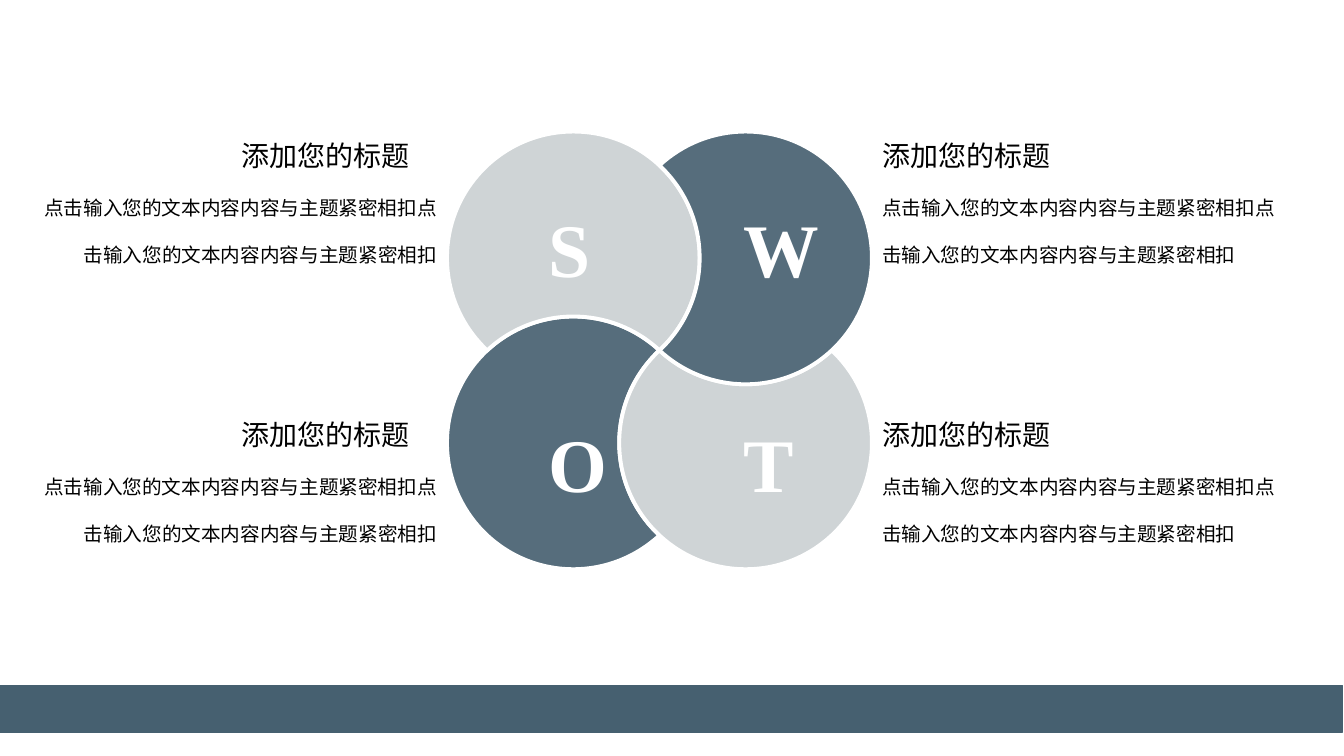
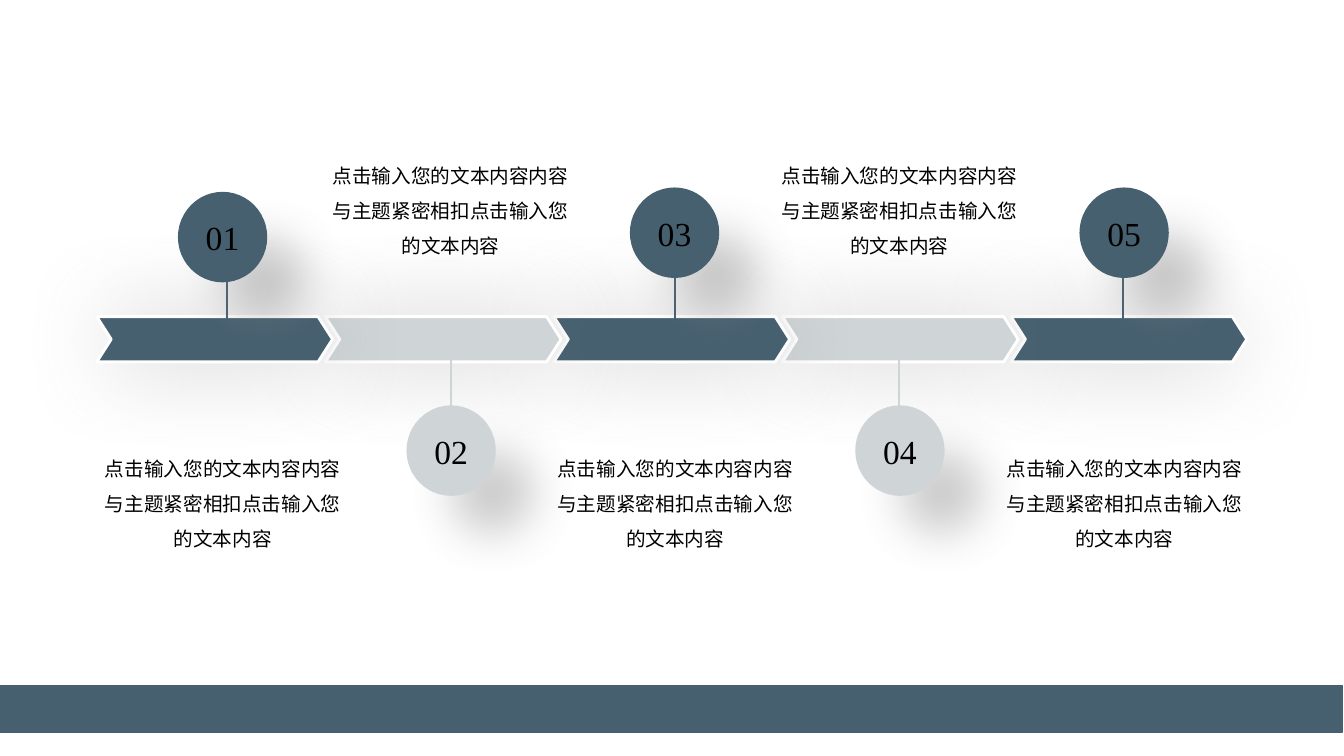
from math import acos, atan2, cos, hypot, pi, sin, tan

from lxml.etree import SubElement
from pptx import Presentation
from pptx.dml.color import RGBColor
from pptx.enum.shapes import MSO_CONNECTOR, MSO_SHAPE
from pptx.enum.text import MSO_ANCHOR, PP_ALIGN
from pptx.oxml.ns import qn
from pptx.util import Cm, Pt

COLORS = {
    "slate": "466070",
    "steel": "566D7C",
    "mist": "CFD4D6",
    "white": "FFFFFF",
    "black": "000000",
    "shade": "808080",
}
FONT = "Times New Roman"


def paint(shape, fill, line, width, blur=0, distance=0, anchor="ctr"):
    shape.fill.solid()
    shape.fill.fore_color.rgb = RGBColor.from_string(COLORS[fill])
    shape.line.color.rgb = RGBColor.from_string(COLORS[line])
    shape.line.width = Pt(width)
    shape.shadow.inherit = False
    if blur:
        effects = shape.element.spPr.find(qn("a:effectLst"))
        shadow = SubElement(effects, qn("a:outerShdw"), blurRad=str(Pt(blur)),
                            dist=str(Pt(distance)), dir=str(45 * 60000),
                            sx="92000", sy="92000", algn=anchor, rotWithShape="0")
        shade = SubElement(shadow, qn("a:srgbClr"), val=COLORS["shade"])
        SubElement(shade, qn("a:alpha"), val="40000")


def write(frame, text, size, align, color="black", bold=False, spacing=None):
    frame.word_wrap = True
    paragraph = frame.paragraphs[0]
    paragraph.text = text
    paragraph.alignment = align
    paragraph.line_spacing = spacing
    paragraph.font.name = FONT
    paragraph.font.size = Pt(size)
    paragraph.font.bold = bold
    paragraph.font.color.rgb = RGBColor.from_string(COLORS[color])


prs = Presentation()
prs.slide_width = Cm(33.87)
prs.slide_height = Cm(19.05)
blank = prs.slide_layouts[6]
swot = prs.slides.add_slide(blank)
timeline = prs.slides.add_slide(blank)

band = swot.shapes.add_shape(MSO_SHAPE.RECTANGLE, Cm(-0.08), Cm(17.27), Cm(33.91), Cm(1.18))
paint(band, "slate", "slate", 1)
prs.slide_master.shapes.element.append(band.element)

hub_x, hub_y = 16.62, 8.83
half_x, half_y = 2.17, 2.33
radius = hypot(half_x, half_y)
petals = [
    ("O", -1, 1, "steel", (1, 1)),
    ("T", 1, 1, "mist", (1, -1)),
    ("S", -1, -1, "mist", (-1, 1)),
    ("W", 1, -1, "steel", (-1, -1)),
]
for letter, column, row, color, (over_column, over_row) in petals:
    x, y = hub_x + column * half_x, hub_y + row * half_y
    over_x, over_y = hub_x + over_column * half_x, hub_y + over_row * half_y
    toward = atan2(over_y - y, over_x - x)
    spread = acos(hypot(over_x - x, over_y - y) / 2 / radius)
    turns = [spread, pi / 2, pi, 3 * pi / 2, 2 * pi - spread]
    arcs = [(x, y, toward + a, toward + b) for a, b in zip(turns, turns[1:])]
    arcs.append((over_x, over_y, toward + pi + spread, toward + pi - spread))

    curves = []
    for center_x, center_y, start, end in arcs:
        pull = 4 / 3 * tan((end - start) / 4)
        curves.append([
            (Cm(center_x + radius * (cos(angle) - bend * sin(angle))),
             Cm(center_y + radius * (sin(angle) + bend * cos(angle))))
            for angle, bend in [(start, 0), (start, pull), (end, -pull), (end, 0)]
        ])
    builder = swot.shapes.build_freeform(*curves[0][0])
    builder.add_line_segments([curve[-1] for curve in curves], close=True)
    petal = builder.convert_to_shape()
    outline = next(petal.element.iter(qn("a:path")))
    for segment, curve in zip(outline.findall(qn("a:lnTo")), curves):
        bezier = SubElement(outline, qn("a:cubicBezTo"))
        outline.replace(segment, bezier)
        for point_x, point_y in curve[1:]:
            SubElement(bezier, qn("a:pt"), x=str(point_x - petal.left), y=str(point_y - petal.top))
    paint(petal, color, "white", 2.75)

for letter, column, row, color, over in petals:
    initial = swot.shapes.add_textbox(
        Cm(13.58 if column < 0 else 18.49), Cm(4.97 if row < 0 else 10.39), Cm(4.22), Cm(2.57))
    write(initial.text_frame, letter, 54, PP_ALIGN.LEFT, "white", True)

for heading_x, body_x, body_width, align in [
    (21.98, 21.98, 10.62, PP_ALIGN.LEFT),
    (5.84, 0.78, 10.49, PP_ALIGN.RIGHT),
]:
    for top in (3.37, 10.4):
        heading = swot.shapes.add_textbox(Cm(heading_x), Cm(top), Cm(5.23), Cm(1.12))
        write(heading.text_frame, "添加您的标题", 20, PP_ALIGN.JUSTIFY)
        body = swot.shapes.add_textbox(Cm(body_x), Cm(top + 0.86), Cm(body_width), Cm(2.64))
        write(body.text_frame, "点击输入您的文本内容内容与主题紧密相扣" * 2, 14, align, spacing=2)

stage_colors = ["slate", "mist", "slate", "mist", "slate"]
for index in reversed(range(5)):
    chevron = timeline.shapes.add_shape(
        MSO_SHAPE.CHEVRON, Cm(2.44 + 5.76 * index), Cm(7.98), Cm(5.94), Cm(1.14))
    chevron.adjustments[0] = 0.32
    paint(chevron, stage_colors[index], "white", 2, 67)

for index, color in enumerate(stage_colors):
    x = Cm(5.71 + 5.65 * index)
    start, end = (8.61, 10.39) if index % 2 else (8.48, 6.71)
    stem = timeline.shapes.add_connector(MSO_CONNECTOR.STRAIGHT, x, Cm(start), x, Cm(end))
    stem.line.color.rgb = RGBColor.from_string(COLORS[color])
    stem.line.width = Pt(1.5)
    properties = stem.element.spPr
    SubElement(properties.find(qn("a:ln")), qn("a:headEnd"), type="oval")
    SubElement(properties, qn("a:effectLst"))

badge_spots = [(4.52, 4.87), (10.28, 10.25), (15.91, 4.76), (21.59, 10.25), (27.24, 4.76)]
for number, ((x, y), color) in enumerate(zip(badge_spots, stage_colors), 1):
    badge = timeline.shapes.add_shape(MSO_SHAPE.OVAL, Cm(x), Cm(y), Cm(2.18), Cm(2.21))
    paint(badge, color, color, 2, 33, 45, "tl")
    badge.text_frame.vertical_anchor = MSO_ANCHOR.MIDDLE
    write(badge.text_frame, f"{number:02}", 24, PP_ALIGN.CENTER)

for index, x in enumerate([2.16, 7.9, 13.56, 19.21, 24.88]):
    caption = timeline.shapes.add_textbox(
        Cm(x), Cm(3.7 if index % 2 else 11.09), Cm(6.91), Cm(2.95))
    write(caption.text_frame, "点击输入您的文本内容内容与主题紧密相扣点击输入您的文本内容",
          14, PP_ALIGN.CENTER, spacing=1.5)

prs.save("out.pptx")
